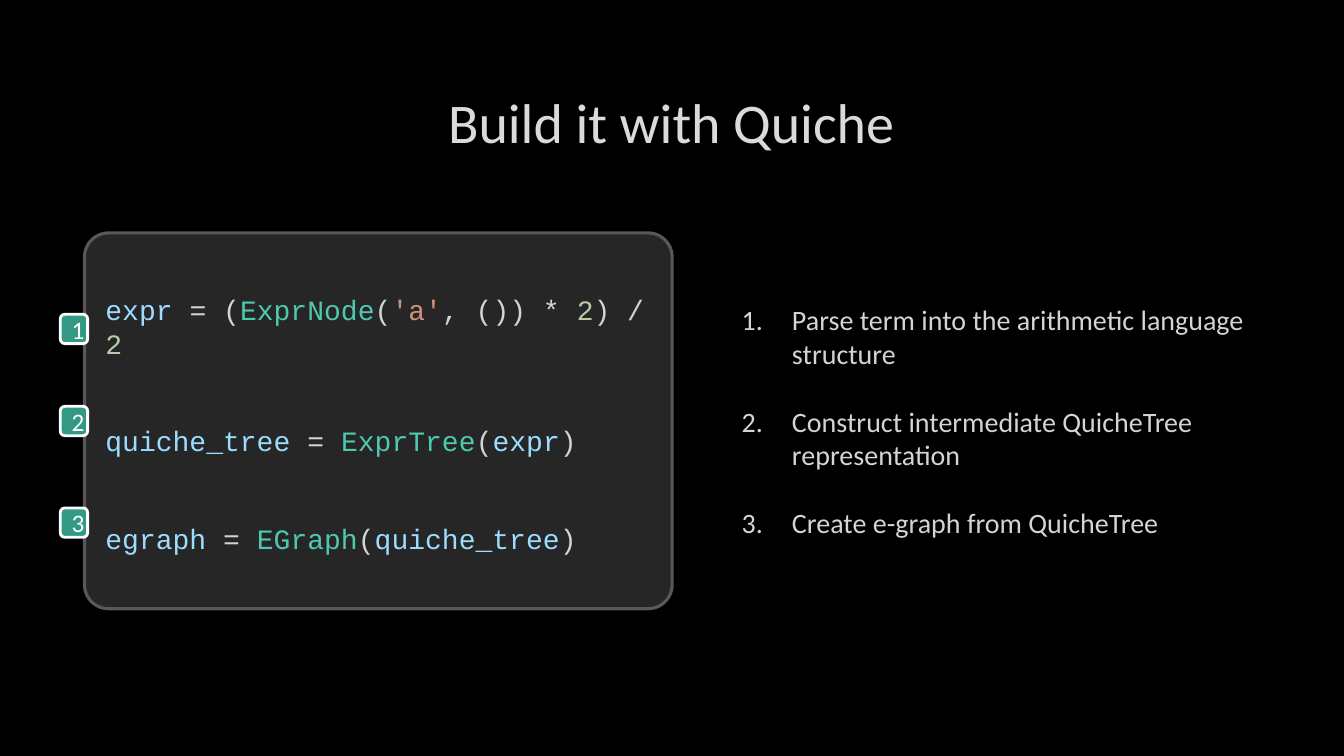
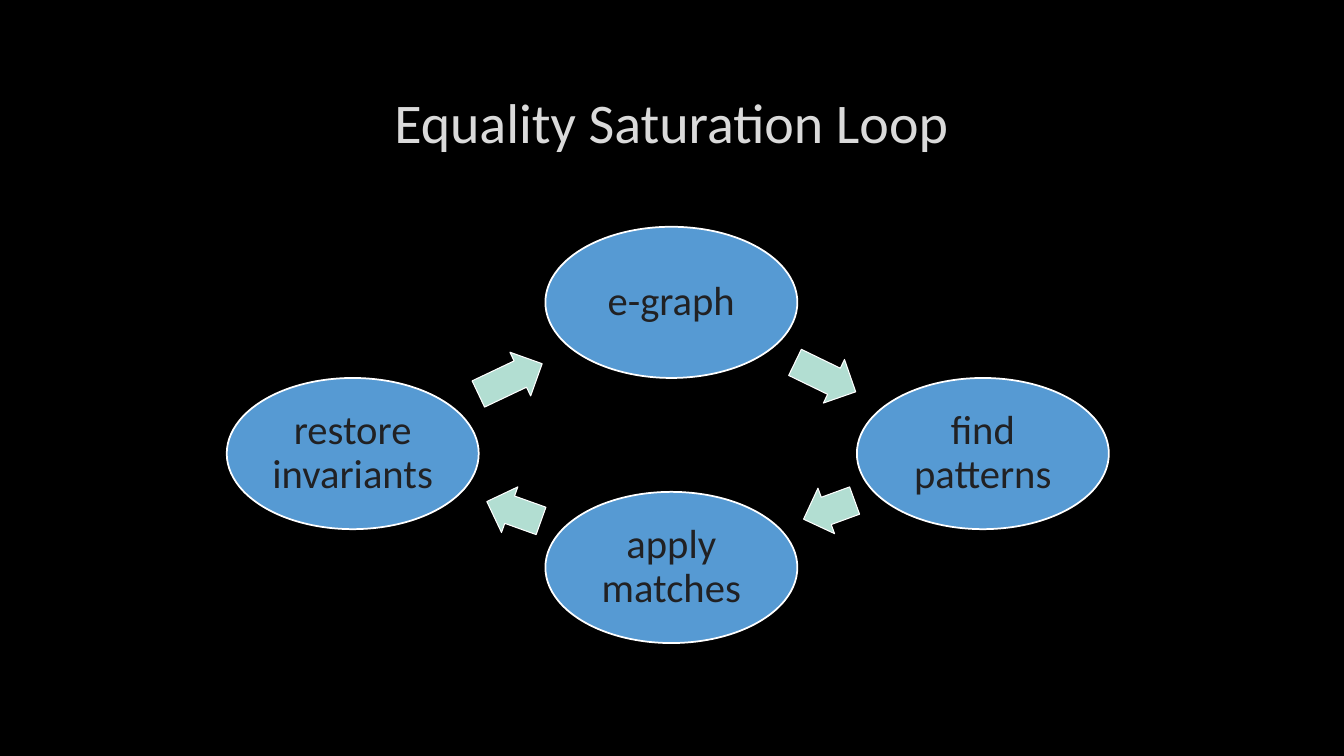
"""Build two dark slides: a code walk-through and a loop of four steps."""
from dataclasses import dataclass
from math import atan2, cos, degrees, sin
from typing import NamedTuple, Optional, Sequence

from lxml.etree import SubElement as Sub
from pptx import Presentation
from pptx.dml.color import RGBColor as Rgb
from pptx.enum.shapes import MSO_SHAPE as Form
from pptx.enum.text import MSO_ANCHOR as Anchor, PP_ALIGN as Align
from pptx.oxml.ns import qn
from pptx.shapes.autoshape import Shape
from pptx.slide import Slide
from pptx.util import Cm, Pt

BLACK, WHITE, TITLE = "000000", "FFFFFF", "DADADA"
PLAIN, NAME, KIND, QUOTE, DIGIT = "D4D4D4", "9CDCFE", "4EC9B0", "CE9178", "B5CEA8"
PANEL, EDGE, BADGE = "262626", "57575C", "339984"
OVAL, ARROW, INK = "569AD3", "B2DED2", "212123"


class Run(NamedTuple):
    text: str
    hue: str


class Box(NamedTuple):
    left: float
    top: float
    width: float
    height: float


@dataclass(frozen=True)
class Step:
    label: str
    x: float
    y: float
    reach: float


HEAD = Box(2.54, 1.7, 28.75, 2.69)
CODE_BOX = Box(2.13, 5.87, 14.81, 9.47)
LIST_BOX = Box(18.34, 5.87, 14.53, 9.47)
CODE = [
    [Run("expr", NAME), Run(" = (", PLAIN), Run("ExprNode", KIND), Run("(", PLAIN),
     Run("'a'", QUOTE), Run(", ()) * ", PLAIN), Run("2", DIGIT), Run(") / ", PLAIN),
     Run("2", DIGIT)],
    [Run("quiche_tree", NAME), Run(" = ", PLAIN), Run("ExprTree", KIND),
     Run("(", PLAIN), Run("expr", NAME), Run(")", PLAIN)],
    [Run("egraph", NAME), Run(" = ", PLAIN), Run("EGraph", KIND),
     Run("(", PLAIN), Run("quiche_tree", NAME), Run(")", PLAIN)],
]
NOTES = [
    "Parse term into the arithmetic language structure",
    "Construct intermediate QuicheTree representation",
    "Create e-graph from QuicheTree",
]
BADGE_TOPS = (7.92, 10.24, 12.8)
STEPS = [
    Step("e-graph", 16.92, 7.62, 1.7),
    Step("find patterns", 24.77, 11.43, 1.37),
    Step("apply matches", 16.92, 14.3, 1.45),
    Step("restore invariants", 8.89, 11.43, 1.78),
]
OVAL_W, OVAL_H, ARROW_H, BACK = 6.35, 3.81, 1.22, 0.05


def tint(code: str) -> Rgb:
    return Rgb.from_string(code)


def place(box: Box) -> list[int]:
    return [Cm(side) for side in box]


def write(shape: Shape, text: Sequence[Sequence[Run]], *, size: float,
          font: str = "Calibri", align: Align = Align.LEFT, gap: float = 0,
          pitch: Optional[float] = None, left: float = 0, hang: float = 0,
          count: bool = False, inset: Optional[float] = None,
          top: Optional[float] = None) -> None:
    frame = shape.text_frame
    frame.word_wrap = True
    frame.vertical_anchor = Anchor.MIDDLE
    if inset is not None:
        frame.margin_left = frame.margin_right = Cm(inset)
        frame.margin_top = frame.margin_bottom = Cm(inset)
    if top is not None:
        frame.margin_top = Cm(top)
    for index, runs in enumerate(text):
        para = frame.add_paragraph() if index else frame.paragraphs[0]
        para.alignment = align
        props = para._p.get_or_add_pPr()
        props.set("marL", str(Cm(left)))
        props.set("indent", str(-Cm(hang)))
        if count:
            Sub(props, qn("a:buFont"), typeface="+mj-lt")
            Sub(props, qn("a:buAutoNum"), type="arabicPeriod")
        if index:
            para.space_before = Pt(gap)
        if pitch:
            para.line_spacing = pitch
        for part in runs:
            run = para.add_run()
            run.text = part.text
            run.font.size = Pt(size)
            run.font.name = font
            run.font.color.rgb = tint(part.hue)


def draw(slide: Slide, form: Form, box: Box, fill: str, line: str, weight: float,
         bends: Sequence[float] = ()) -> Shape:
    shape = slide.shapes.add_shape(form, *place(box))
    shape.shadow.inherit = False
    shape.fill.solid()
    shape.fill.fore_color.rgb = tint(fill)
    shape.line.color.rgb = tint(line)
    shape.line.width = Pt(weight)
    for index, bend in enumerate(bends):
        shape.adjustments[index] = bend
    return shape


def start(deck: Presentation, title: str) -> Slide:
    slide = deck.slides.add_slide(deck.slide_layouts[6])
    slide.background.fill.solid()
    slide.background.fill.fore_color.rgb = tint(BLACK)
    head = slide.shapes.add_textbox(*place(HEAD))
    write(head, [[Run(title, TITLE)]], size=40, align=Align.CENTER)
    return slide


def show_code(deck: Presentation) -> None:
    slide = start(deck, "Build it with Quiche")
    panel = draw(slide, Form.ROUNDED_RECTANGLE, CODE_BOX, PANEL, EDGE, 2.25, [0.064])
    write(panel, CODE, size=20, font="Courier New", gap=45.5, left=0.1, top=0.28)
    for number, top in enumerate(BADGE_TOPS, 1):
        badge = draw(slide, Form.ROUNDED_RECTANGLE, Box(1.52, top, 0.69, 0.74),
                     BADGE, WHITE, 2)
        write(badge, [[Run(str(number), WHITE)]], size=18, align=Align.CENTER)
    notes = slide.shapes.add_textbox(*place(LIST_BOX))
    write(notes, [[Run(note, PLAIN)] for note in NOTES], size=20, gap=24.4,
          left=1.37, hang=1.27, count=True)


def link(slide: Slide, step: Step, goal: Step) -> None:
    angle = atan2(goal.y - step.y, goal.x - step.x)
    x = (step.x + goal.x) / 2 - BACK * cos(angle)
    y = (step.y + goal.y) / 2 - BACK * sin(angle)
    box = Box(x - step.reach / 2, y - ARROW_H / 2, step.reach, ARROW_H)
    arrow = draw(slide, Form.RIGHT_ARROW, box, ARROW, WHITE, 0.75, [0.6, 0.5])
    arrow.rotation = degrees(angle) % 360


def show_loop(deck: Presentation) -> None:
    slide = start(deck, "Equality Saturation Loop")
    for step, goal in zip(STEPS, STEPS[1:] + STEPS[:1]):
        box = Box(step.x - OVAL_W / 2, step.y - OVAL_H / 2, OVAL_W, OVAL_H)
        oval = draw(slide, Form.OVAL, box, OVAL, WHITE, 1.25)
        write(oval, [[Run(step.label, INK)]], size=29, align=Align.CENTER,
              pitch=0.9, inset=0.1)
        link(slide, step, goal)


def main() -> None:
    deck = Presentation()
    deck.slide_width, deck.slide_height = Cm(33.87), Cm(19.05)
    show_code(deck)
    show_loop(deck)
    deck.save("out.pptx")


if __name__ == "__main__":
    main()
